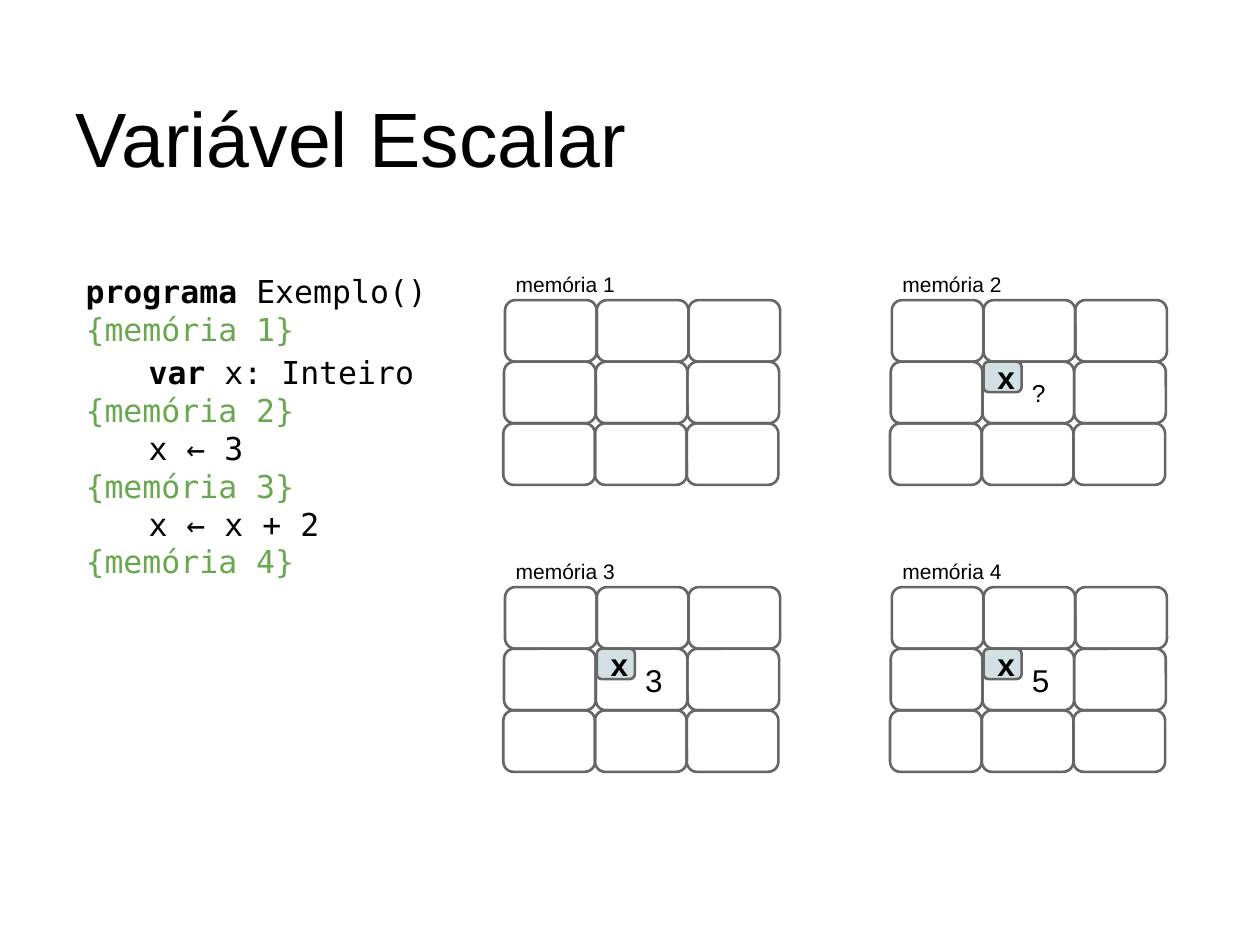
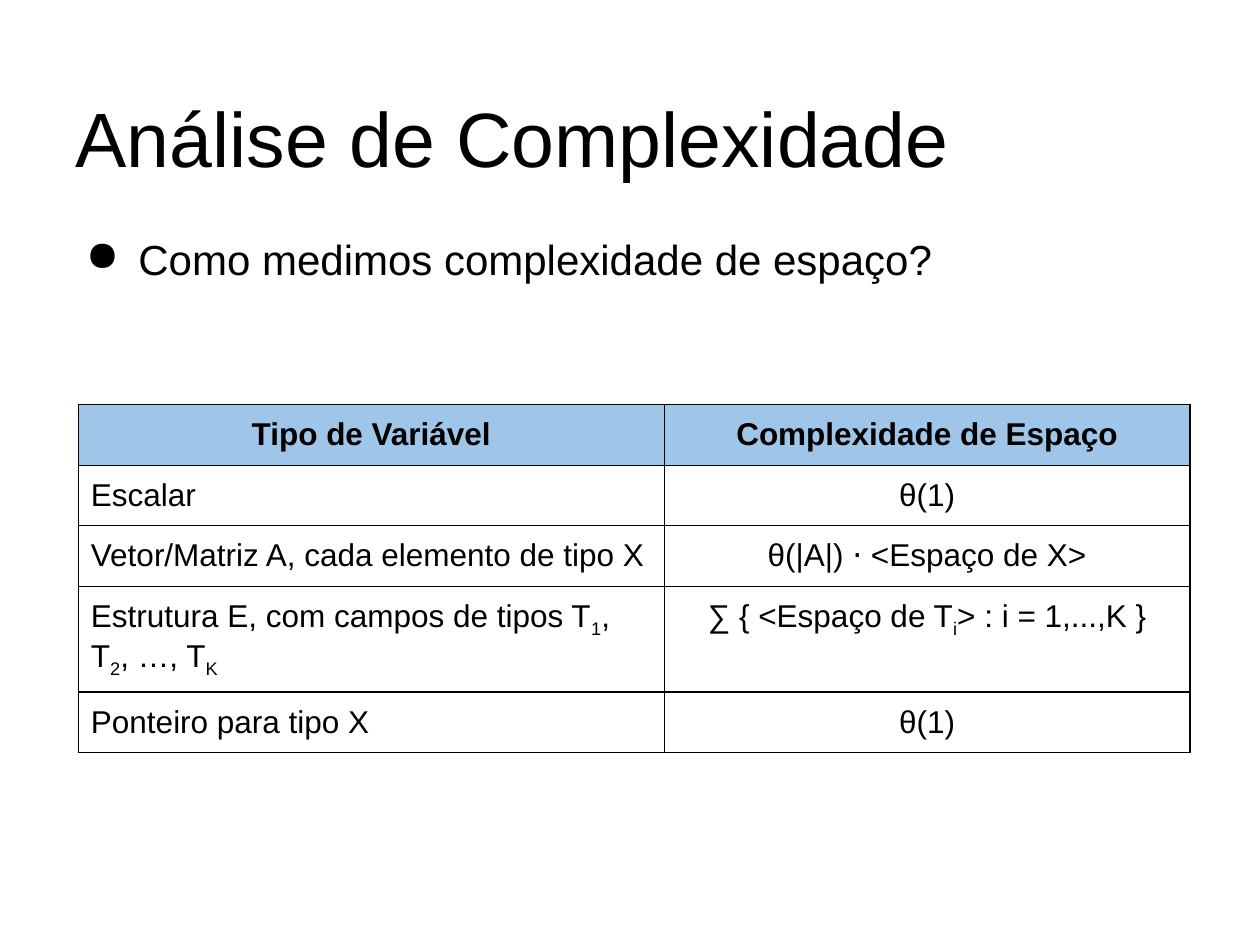
from itertools import product
from lxml.etree import SubElement
from pptx import Presentation
from pptx.dml.color import RGBColor
from pptx.enum.shapes import MSO_SHAPE
from pptx.enum.text import MSO_ANCHOR, MSO_AUTO_SIZE, PP_ALIGN
from pptx.oxml import parse_xml
from pptx.oxml.ns import nsdecls, qn
from pptx.util import Pt

BLACK = RGBColor(0x00, 0x00, 0x00)
GREEN = RGBColor(0x6A, 0xA8, 0x4F)
GRAY = RGBColor(0x66, 0x66, 0x66)
PALE = RGBColor(0xD0, 0xE0, 0xE3)
BLUE = RGBColor(0x9F, 0xC5, 0xE8)
SANS, MONO = "Arial", "DejaVu Sans Mono"

TITLES = ["Variável Escalar", "Análise de Complexidade"]
CODE = [
    ("programa ", "Exemplo()", 0),
    ("", "{memória 1}", 0),
    ("var ", "x: Inteiro", 36),
    ("", "{memória 2}", 0),
    ("", "x ← 3", 36),
    ("", "{memória 3}", 0),
    ("", "x ← x + 2", 36),
    ("", "{memória 4}", 0),
]
STATES = [("memória 1", "", 0), ("memória 2", "?", 14),
          ("memória 3", "3", 18), ("memória 4", "5", 18)]
POINT = "Como medimos complexidade de espaço?"
HEAD = ("Tipo de Variável", "Complexidade de Espaço")
ROWS = [
    ("Escalar", "θ(1)"),
    ("Vetor/Matriz A, cada elemento de tipo X", "θ(|A|) ⋅ <Espaço de X>"),
    ("Estrutura E, com campos de tipos T_1_, T_2_, …, T_K",
     "∑ { <Espaço de T_i_> : i = 1,...,K }"),
    ("Ponteiro para tipo X", "θ(1)"),
]

LEFT, TOP, WIDE, HIGH = 288.6, 171.5, 52.4, 35.2
STEP, DROP = 221, 164
SHIFTS = (0, -0.6, -1)
COLS, ROW = (334.8, 300.4), 30.2
FRAME = {"word_wrap": True, "auto_size": MSO_AUTO_SIZE.NONE,
         "vertical_anchor": MSO_ANCHOR.TOP}
SIDES = ("margin_left", "margin_top", "margin_right", "margin_bottom")
FRAME.update({side: Pt(7.2) for side in SIDES})


def apply(item, vals):
    for name, val in vals.items():
        setattr(item, name, val)


def write(para, text, size, color=BLACK, bold=False, name=SANS):
    run = para.add_run()
    run.text = text
    apply(run.font, {"size": Pt(size), "bold": bold, "name": name})
    run.font.color.rgb = color
    return run


def open_slide(deck, text):
    slide = deck.slides.add_slide(deck.slide_layouts[5])
    title = slide.shapes.title
    apply(title, {"left": Pt(36), "top": Pt(21.6),
                  "width": Pt(648), "height": Pt(90)})
    apply(title.text_frame, FRAME | {"vertical_anchor": MSO_ANCHOR.BOTTOM})
    para = title.text_frame.paragraphs[0]
    para.alignment = PP_ALIGN.LEFT
    write(para, text, 44)
    return slide


def add_text(slide, *place):
    frame = slide.shapes.add_textbox(*map(Pt, place)).text_frame
    apply(frame, FRAME)
    return frame


def add_cell(slide, *place):
    cell = slide.shapes.add_shape(MSO_SHAPE.ROUNDED_RECTANGLE, *map(Pt, place))
    cell.shadow.inherit = False
    cell.fill.background()
    cell.line.color.rgb = GRAY
    cell.line.width = Pt(1.5)
    apply(cell.text_frame, FRAME | {"vertical_anchor": MSO_ANCHOR.MIDDLE})
    cell.text_frame.paragraphs[0].alignment = PP_ALIGN.LEFT
    return cell


def add_code(slide):
    frame = add_text(slide, 41.8, 148.3, 214.6, 326.2)
    for i, (key, rest, indent) in enumerate(CODE):
        para = frame.add_paragraph() if i else frame.paragraphs[0]
        if indent:
            para._p.get_or_add_pPr().set("indent", str(Pt(indent)))
        if key:
            write(para, key, 18, bold=True, name=MONO)
        if key == "var ":
            para.line_spacing = 1.15
        color = GREEN if rest.startswith("{") else BLACK
        write(para, rest, 18, color, name=MONO)


def add_grid(slide, x, y, label, value, size):
    frame = add_text(slide, x - 1, y - 23.7, 114.5, 22.3)
    write(frame.paragraphs[0], label, 12)
    for row, col in product(range(3), repeat=2):
        left, top = x + col * WIDE + SHIFTS[row], y + row * HIGH
        cell = add_cell(slide, left, top, WIDE, HIGH)
        if value and row == col == 1:
            cell.text_frame.margin_left = Pt(26.6)
            write(cell.text_frame.paragraphs[0], value, size)
    if value:
        tag = add_cell(slide, x + WIDE, y + HIGH, 21.8, 17.4)
        tag.fill.solid()
        tag.fill.fore_color.rgb = PALE
        write(tag.text_frame.paragraphs[0], "x", 18, bold=True)


def add_point(slide):
    para = add_text(slide, 36, 126, 648, 80).paragraphs[0]
    para.space_before = Pt(6)
    props = para._p.get_or_add_pPr()
    props.set("marL", str(Pt(36)))
    props.set("indent", str(Pt(-30)))
    SubElement(props, qn("a:buChar")).set("char", "●")
    write(para, POINT, 24)


def edge(cell):
    props = cell._tc.get_or_add_tcPr()
    for i, side in enumerate("LRTB"):
        props.insert(i, parse_xml(
            f'<a:ln{side} {nsdecls("a")} w="{Pt(0.75)}"><a:solidFill>'
            f'<a:srgbClr val="{BLACK}"/></a:solidFill></a:ln{side}>'))


def add_costs(slide):
    data = [HEAD, *ROWS]
    table = slide.shapes.add_table(
        len(data), len(COLS), Pt(44.8), Pt(231.2),
        Pt(sum(COLS)), Pt(ROW * len(data))).table
    apply(table, {"first_row": False, "horz_banding": False})
    for col, width in zip(table.columns, COLS):
        col.width = Pt(width)
    for r, c in product(range(len(data)), range(len(COLS))):
        cell = table.cell(r, c)
        apply(cell, {side: Pt(7.2) for side in SIDES})
        cell.vertical_anchor = MSO_ANCHOR.TOP
        if r:
            cell.fill.background()
        else:
            cell.fill.solid()
            cell.fill.fore_color.rgb = BLUE
        edge(cell)
        para = cell.text_frame.paragraphs[0]
        para.alignment = PP_ALIGN.CENTER if c or not r else PP_ALIGN.LEFT
        for i, part in enumerate(data[r][c].split("_")):
            run = write(para, part, 18, bold=not r)
            if i % 2:
                run._r.get_or_add_rPr().set("baseline", "-25000")


def main():
    deck = Presentation()
    apply(deck, {"slide_width": Pt(720), "slide_height": Pt(540)})
    first, second = [open_slide(deck, text) for text in TITLES]
    add_code(first)
    for i, state in enumerate(STATES):
        row, col = divmod(i, 2)
        add_grid(first, LEFT + col * STEP, TOP + row * DROP, *state)
    add_point(second)
    add_costs(second)
    deck.save("out.pptx")


if __name__ == "__main__":
    main()
